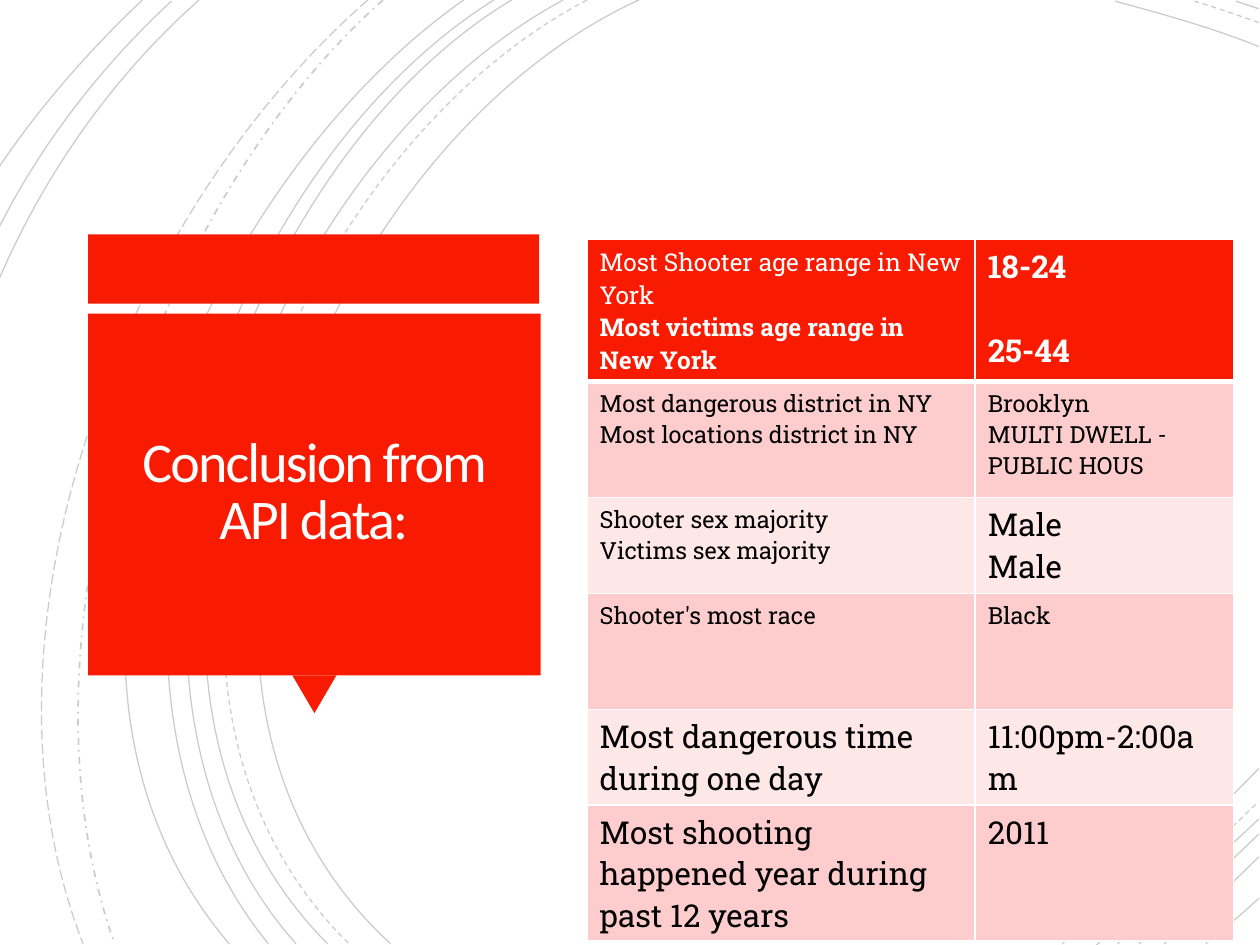
from pptx import Presentation
from pptx.dml.color import RGBColor
from pptx.enum.dml import MSO_LINE_DASH_STYLE as Dash
from pptx.enum.shapes import MSO_SHAPE as Shape
from pptx.enum.text import MSO_ANCHOR as Anchor, PP_ALIGN as Align
from pptx.oxml.ns import qn
from pptx.util import Inches, Pt
from lxml.etree import SubElement

COLORS = {
    "red": "F81B02",
    "title": "FFFEFF",
    "white": "FFFFFF",
    "black": "000000",
    "dark_band": "FCCDCC",
    "light_band": "FEE8E7",
}
BODY_FONT = "Roboto Slab"

SOLID_ARCS = [
    [(5.07, 0), (2.56, 1.15), (0.83, 5.4), (3.1, 7.49)],
    [(9.99, 0.37), (9.62, 0.22), (9.22, 0.11), (8.85, 0.01)],
    [(8.43, 7.49), (8.98, 7.07), (9.51, 6.6), (9.99, 6.1)],
    [(4.47, 0), (2.11, 1.27), (0.5, 5.37), (2.6, 7.49)],
    [(9.99, 0.07), (9.93, 0.05), (9.87, 0.03), (9.81, 0.01)],
    [(8.87, 7.49), (9.26, 7.18), (9.63, 6.84), (9.99, 6.5)],
    [(4.06, 0), (1.85, 1.33), (0.5, 5.41), (2.35, 7.49)],
    [(9.04, 7.49), (9.37, 7.21), (9.68, 6.92), (9.99, 6.62)],
    [(3.92, 0), (1.72, 1.38), (0.38, 5.34), (2.13, 7.49)],
    [(9.24, 7.49), (9.5, 7.27), (9.75, 7.04), (9.99, 6.8)],
    [(3.68, 0), (1.58, 1.47), (-0.07, 5.29), (1.82, 7.49)],
    [(9.57, 7.49), (9.71, 7.38), (9.85, 7.26), (9.99, 7.13)],
    [(1.58, 0), (0.88, 0.62), (0.35, 1.39), (-0.01, 2.22)],
    [(1.36, 0.01), (0.79, 0.54), (0.33, 1.14), (-0.01, 1.81)],
    [(1.13, 0), (0.71, 0.4), (0.32, 0.84), (-0.01, 1.33)],
]
DASHED_ARCS = [
    [(4.66, 0), (2.26, 1.25), (0.63, 5.38), (2.77, 7.49)],
    [(9.99, 0.18), (9.82, 0.12), (9.65, 0.06), (9.48, 0.01)],
    [(8.7, 7.5), (9.15, 7.15), (9.58, 6.76), (9.99, 6.36)],
]
DASH_DOT_ARCS = [[(3.04, 0), (1.17, 1.66), (0.06, 5.09), (0.91, 7.49)]]
LONG_DASH_ARCS = [[(2.92, 0), (0.98, 1.69), (-0.31, 4.99), (0.66, 7.49)]]
ARC_STYLES = [
    (SOLID_ARCS, Dash.SOLID, 0.75),
    (DASHED_ARCS, Dash.DASH, 0.75),
    (DASH_DOT_ARCS, Dash.DASH_DOT, 1),
    (LONG_DASH_ARCS, Dash.LONG_DASH, 0.75),
]

COLUMN_WIDTHS = [3.08, 2.05]
FINDINGS = [
    (1.13, (["Most Shooter age range in New York", "Most victims age range in New York"], 14),
     (["18-24", "25-44"], 18)),
    (0.92, (["Most dangerous district in NY", "Most locations district in NY"], 13.5),
     (["Brooklyn", "MULTI DWELL - PUBLIC HOUS"], 13.5)),
    (0.76, (["Shooter sex majority", "Victims sex majority"], 13.5), (["Male", "Male"], 18)),
    (0.92, (["Shooter's most race"], 13.5), (["Black"], 13.5)),
    (0.76, (["Most dangerous time during one day"], 18), (["11:00pm-2:00am"], 18)),
    (1.08, (["Most shooting happened year during past 12 years"], 18), (["2011"], 18)),
]


def rgb(name):
    """Return the named palette colour."""
    return RGBColor.from_string(COLORS[name])


def style_font(font, name, size, color, bold=False):
    """Set the typeface, size, colour and weight of a font."""
    font.name, font.size, font.bold = name, Pt(size), bold
    font.color.rgb = rgb(color)


def add_arc(slide, points, dash, width):
    """Draw a faint cubic curve from its four control points."""
    start, *rest = [(Inches(x), Inches(y)) for x, y in points]
    builder = slide.shapes.build_freeform(*start)
    builder.add_line_segments(rest, close=False)
    arc = builder.convert_to_shape()
    arc.shadow.inherit = False
    arc.fill.background()
    arc.line.color.rgb = rgb("black")
    arc.line.width = Pt(width)
    arc.line.dash_style = dash
    stroke = next(arc.line._get_or_add_ln().iter(qn("a:srgbClr")))
    SubElement(stroke, qn("a:alpha"), val="20000")
    segments = list(arc._element.iter(qn("a:lnTo")))
    curve = SubElement(segments[0].getparent(), qn("a:cubicBezTo"))
    for segment in segments:
        curve.append(segment[0])
        segment.getparent().remove(segment)


def add_block(slide, kind, left, top, width, height, rotation=0):
    """Add a plain red shape."""
    block = slide.shapes.add_shape(kind, Inches(left), Inches(top), Inches(width), Inches(height))
    block.rotation = rotation
    block.shadow.inherit = False
    block.fill.solid()
    block.fill.fore_color.rgb = rgb("red")
    block.line.fill.background()


def add_title(slide, text):
    """Add the centred title over the large red block."""
    frame = slide.shapes.add_textbox(Inches(0.79), Inches(2.57), Inches(3.4), Inches(2.7)).text_frame
    frame.word_wrap = True
    frame.vertical_anchor = Anchor.MIDDLE
    frame.margin_left = frame.margin_right = Inches(0.25)
    frame.margin_top = frame.margin_bottom = Inches(0.25)
    title = frame.paragraphs[0]
    title.alignment = Align.CENTER
    title.line_spacing = 0.85
    run = title.add_run()
    run.text = text
    style_font(title.font, "Calibri", 32, "title")
    run.font._element.set("spc", "-110")


def add_borders(cell, top, bottom):
    """Give a cell white borders, with the top and bottom widths in points."""
    properties = cell._tc.get_or_add_tcPr()
    for side, width in (("L", 1), ("R", 1), ("T", top), ("B", bottom)):
        border = SubElement(properties, qn(f"a:ln{side}"), w=str(Pt(width)))
        fill = SubElement(border, qn("a:solidFill"))
        SubElement(fill, qn("a:srgbClr"), val=COLORS["white"])


def fill_cell(cell, lines, size, band, color):
    """Write the lines of a cell and set its band colour."""
    cell.fill.solid()
    cell.fill.fore_color.rgb = rgb(band)
    cell.text = "\n".join(lines)
    for paragraph in cell.text_frame.paragraphs:
        style_font(paragraph.font, BODY_FONT, size, color)


def add_findings(slide):
    """Add the banded table of findings."""
    total_height = sum(height for height, *_ in FINDINGS)
    table = slide.shapes.add_table(
        len(FINDINGS), len(COLUMN_WIDTHS), Inches(4.66), Inches(1.9),
        Inches(sum(COLUMN_WIDTHS)), Inches(total_height)).table
    for column, width in zip(table.columns, COLUMN_WIDTHS):
        column.width = Inches(width)
    for index, (height, *entries) in enumerate(FINDINGS):
        table.rows[index].height = Inches(height)
        band = "dark_band" if index % 2 else "light_band"
        for cell, (lines, size) in zip(table.rows[index].cells, entries):
            add_borders(cell, 3 if index == 1 else 1, 3 if index == 0 else 1)
            fill_cell(cell, lines, size, band if index else "red", "black" if index else "white")
    label, ages = table.rows[0].cells
    label.text_frame.paragraphs[1].font.bold = True
    for age in ages.text_frame.paragraphs:
        age.font.bold = True
    ages.text_frame.paragraphs[1].space_before = Pt(24)


def main():
    """Build the slide and save it."""
    deck = Presentation()
    deck.slide_width, deck.slide_height = Inches(10), Inches(7.5)
    slide = deck.slides.add_slide(deck.slide_layouts[6])
    for arcs, dash, width in ARC_STYLES:
        for points in arcs:
            add_arc(slide, points, dash, width)
    add_block(slide, Shape.RECTANGLE, 0.7, 1.86, 3.58, 0.55)
    add_block(slide, Shape.ISOSCELES_TRIANGLE, 2.32, 5.36, 0.35, 0.3, rotation=180)
    add_block(slide, Shape.RECTANGLE, 0.7, 2.49, 3.59, 2.87)
    add_title(slide, "Conclusion from API data:")
    add_findings(slide)
    deck.save("out.pptx")


if __name__ == "__main__":
    main()
